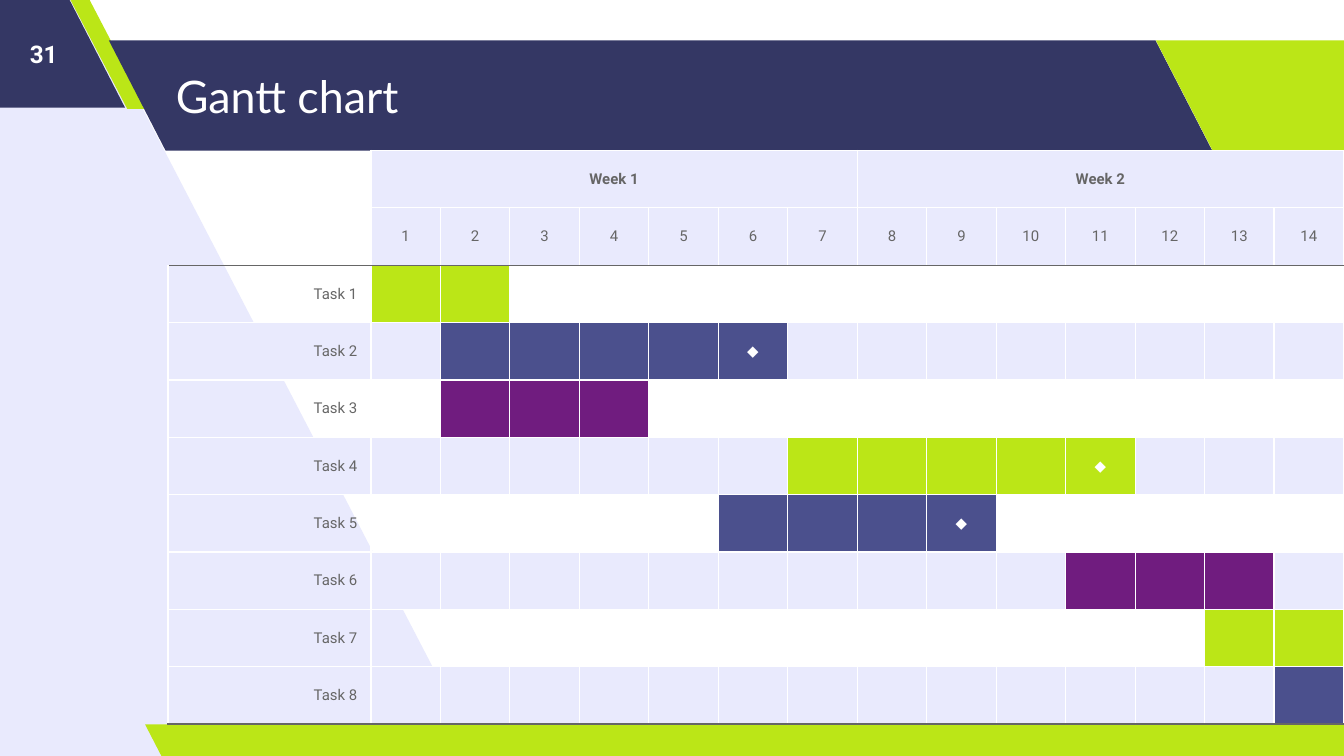
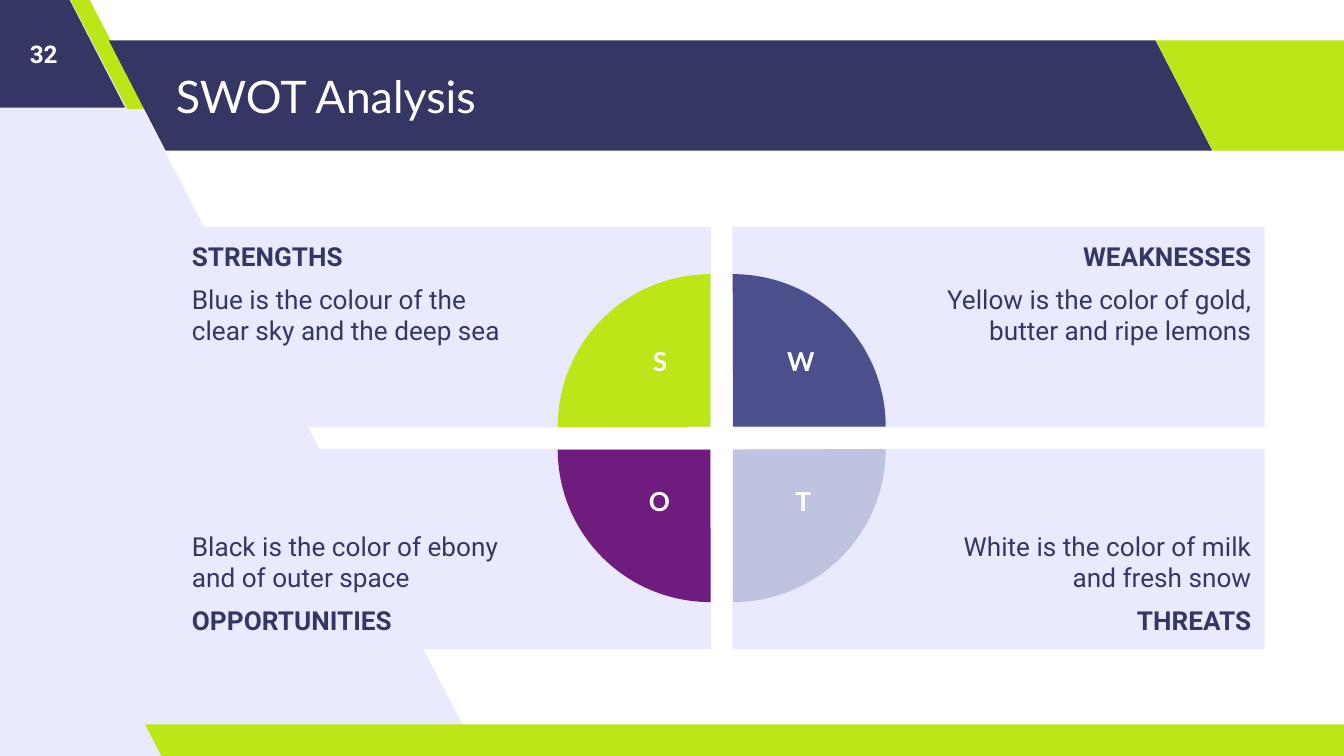
"""Build a Gantt chart slide and a SWOT slide that share one page frame."""
from lxml import etree
from pptx import Presentation
from pptx.dml.color import RGBColor
from pptx.enum.shapes import MSO_SHAPE
from pptx.enum.text import MSO_ANCHOR, PP_ALIGN
from pptx.oxml.ns import qn
from pptx.util import Inches, Pt

LEFT, MID, RIGHT = PP_ALIGN.LEFT, PP_ALIGN.CENTER, PP_ALIGN.RIGHT
TOP, CENTER, BOTTOM = MSO_ANCHOR.TOP, MSO_ANCHOR.MIDDLE, MSO_ANCHOR.BOTTOM
SLANT, RECT, PIE = MSO_SHAPE.PARALLELOGRAM, MSO_SHAPE.RECTANGLE, MSO_SHAPE.PIE

NAVY, LIME, PALE, BLUE = "343764", "BBE617", "E9EAFD", "4B508D"
PLUM, MIST, GRAY, WHITE = "701C7F", "BEC4E0", "666666", "FFFFFF"
rgb = RGBColor.from_string


def write(frame, *lines, size, color, font="Roboto", bold=False, align=LEFT,
          anchor=None, pad=None):
    """Fill a text frame; a line is a string or (string, bold, before, after)."""
    if anchor is not None:
        frame.vertical_anchor = anchor
        frame.word_wrap = True
    if pad:
        (frame.margin_left, frame.margin_top,
         frame.margin_right, frame.margin_bottom) = [Inches(p) for p in pad]
    for i, line in enumerate(lines):
        if isinstance(line, str):
            line = (line, bold, 0, 0)
        para = frame.add_paragraph() if i else frame.paragraphs[0]
        para.alignment = align
        para.space_before, para.space_after = Pt(line[2]), Pt(line[3])
        run = para.add_run()
        run.text = line[0]
        run.font.name, run.font.size, run.font.bold = font, Pt(size), line[1]
        run.font.color.rgb = rgb(color)


def style(shape, color, adjust=(), flip=False):
    """Give a shape a flat fill, its adjustments and an optional mirror."""
    shape.shadow.inherit = False
    shape.fill.solid()
    shape.fill.fore_color.rgb = rgb(color)
    shape.line.fill.background()
    for i, value in enumerate(adjust):
        shape.adjustments[i] = value
    if flip:
        shape._element.spPr.xfrm.set("flipH", "1")


deck = Presentation()
deck.slide_width = Inches(10)
deck.slide_height = Inches(10 * 9 / 16)

bands = [
    ((-0.99, -0.02, 1.92, 0.82), 0.515, NAVY),
    ((0.52, -0.01, 0.57, 0.82), 0.75, LIME),
    ((0.81, 0.3, 8.21, 0.82), 0.515, NAVY),
    ((8.6, 0.3, 1.92, 0.82), 0.515, LIME),
    ((1.08, 5.39, 9.15, 0.25), 0.515, LIME),
]
pages = []
for number, title in [("31", "Gantt chart"), ("32", "SWOT Analysis")]:
    slide = deck.slides.add_slide(deck.slide_layouts[6])
    side = slide.shapes.build_freeform(Inches(3.56), Inches(5.62), 1)
    side.add_line_segments([(Inches(x), Inches(y)) for x, y in
                            [(0.62, -0.04), (-0.06, -0.04), (-0.02, 5.66)]])
    style(side.convert_to_shape(), PALE)
    for box, slope, color in bands:
        band = slide.shapes.add_shape(SLANT, *[Inches(v) for v in box])
        style(band, color, [slope], flip=True)
    head = slide.shapes.add_textbox(Inches(1.21), Inches(0.3), Inches(7.35), Inches(0.82))
    write(head.text_frame, title, size=24, color=WHITE, font="Lato",
          anchor=CENTER, pad=[0.1] * 4)
    label = slide.shapes.add_textbox(0, 0, Inches(0.65), Inches(0.8))
    write(label.text_frame, number, size=13, color=WHITE, bold=True, align=MID,
          anchor=CENTER, pad=[0.1] * 4)
    pages.append(slide)
gantt, swot = pages

DAYS = 14
tasks = [
    (1, 2, LIME, None),
    (2, 6, BLUE, 6),
    (2, 4, PLUM, None),
    (7, 11, LIME, 11),
    (6, 9, BLUE, 9),
    (11, 13, PLUM, None),
    (13, 14, LIME, None),
    (14, 14, BLUE, None),
]
rows = len(tasks) + 2
wide, high, first = Inches(8.75), Inches(4.27), Inches(1.51)
table = gantt.shapes.add_table(rows, DAYS + 1, Inches(1.25), Inches(1.12), wide, high).table
table.first_row = table.horz_banding = False
for i, col in enumerate(table.columns):
    col.width = (wide - first) // DAYS if i else first
for row in table.rows:
    row.height = high // rows

for r in range(rows):
    for c in range(DAYS + 1):
        cell = table.cell(r, c)
        cell.vertical_anchor = CENTER
        text, ink, align, bold = "", GRAY, MID, False
        if r < 2:
            fill = PALE if c else None
            if r == 0 and c in (1, 8):
                text, bold = f"Week {c // 7 + 1}", True
            elif r == 1 and c:
                text = str(c)
        else:
            start, end, color, mark = tasks[r - 2]
            fill = PALE if r % 2 else None
            if c == 0:
                text, align = f"Task {r - 1}", RIGHT
            elif start <= c <= end:
                fill = color
            if c == mark:
                text, ink = "◆", WHITE
        if text:
            write(cell.text_frame, text, size=8, color=ink, align=align, bold=bold)
        if fill:
            cell.fill.solid()
            cell.fill.fore_color.rgb = rgb(fill)
        else:
            cell.fill.background()
        edges = {"lnL": WHITE, "lnR": WHITE,
                 "lnT": GRAY if r == 2 else WHITE,
                 "lnB": GRAY if r in (1, rows - 1) else WHITE}
        if r < 2 and c == 0:
            edges["lnL"] = edges["lnT"] = None
        props = cell._tc.get_or_add_tcPr()
        for i, (edge, color) in enumerate(edges.items()):
            line = etree.Element(qn(f"a:{edge}"), w=str(Pt(0.75)))
            props.insert(i, line)
            if color:
                solid = etree.SubElement(line, qn("a:solidFill"))
                etree.SubElement(solid, qn("a:srgbClr"), val=color)
            else:
                etree.SubElement(line, qn("a:noFill"))
for c in (1, 8):
    table.cell(0, c).merge(table.cell(0, c + 6))

parts = [
    ("STRENGTHS", "Blue is the colour of the clear sky and the deep sea"),
    ("WEAKNESSES", "Yellow is the color of gold, butter and ripe lemons"),
    ("OPPORTUNITIES", "Black is the color of ebony and of outer space"),
    ("THREATS", "White is the color of milk and fresh snow"),
]
for i, (name, note) in enumerate(parts):
    low, east = divmod(i, 2)
    card = swot.shapes.add_shape(RECT, Inches(1.33 + 4.12 * east), Inches(1.69 + 1.65 * low),
                                 Inches(3.96), Inches(1.49))
    style(card, PALE)
    if low:
        lines = [(note, False, 0, 0), (name, True, 6, 6)]
    else:
        lines = [(name, True, 0, 0), (note, False, 6, 6)]
    write(card.text_frame, *lines, size=14, color=NAVY,
          align=RIGHT if east else LEFT, anchor=BOTTOM if low else TOP,
          pad=[1.5, 0.1, 0.1, 0.1] if east else [0.1, 0.1, 1.5, 0.1])

pies = [(0, 0, LIME), (1, 0, BLUE), (1, 1, MIST), (0, 1, PLUM)]
for i, (east, low, color) in enumerate(pies):
    pie = swot.shapes.add_shape(PIE, Inches(4.15 + 0.17 * east), Inches(2.04 + 0.17 * low),
                                Inches(2.27), Inches(2.27))
    style(pie, color, [107.89, 162])
    pie.rotation = 90 * i

marks = [("S", 4.76, 2.52, 0.27), ("W", 5.71, 2.52, 0.5),
         ("O", 4.73, 3.56, 0.27), ("T", 5.82, 3.56, 0.29)]
for text, x, y, w in marks:
    mark = swot.shapes.add_textbox(Inches(x), Inches(y), Inches(w), Inches(0.43))
    write(mark.text_frame, text, size=14, color=WHITE, font="Lato", bold=True,
          align=MID, anchor=TOP)

deck.save("out.pptx")
